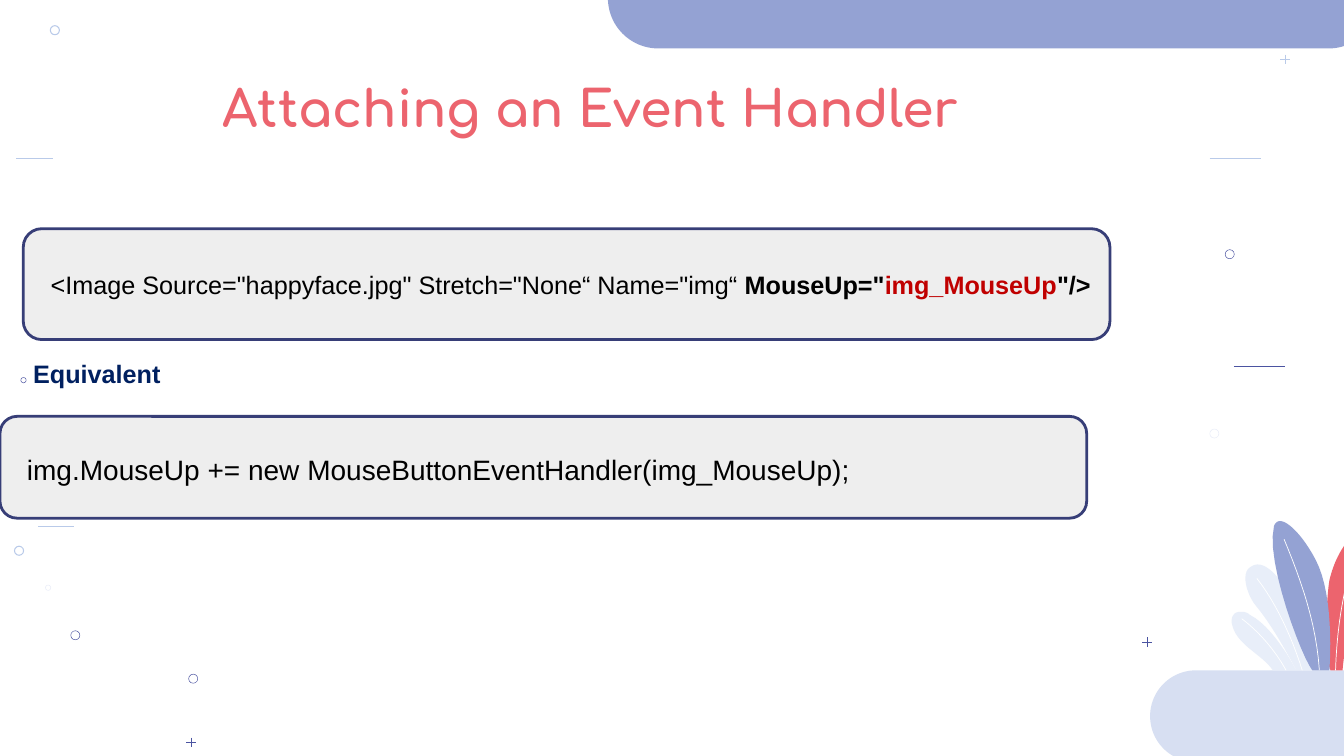
import pptx
import pptx.dml.color
import pptx.enum.shapes
import pptx.enum.text
import pptx.oxml.ns
import pptx.util

Pt = pptx.util.Pt
RGBColor = pptx.dml.color.RGBColor
MSO_SHAPE = pptx.enum.shapes.MSO_SHAPE
MIDDLE = pptx.enum.text.MSO_ANCHOR.MIDDLE
TOP = pptx.enum.text.MSO_ANCHOR.TOP

WHITE = RGBColor(0xFF, 0xFF, 0xFF)
BLACK = RGBColor(0, 0, 0)
CORAL = RGBColor(0xEC, 0x64, 0x6E)
PERIWINKLE = RGBColor(0x94, 0xA2, 0xD3)
MIST = RGBColor(0xD7, 0xDF, 0xF2)
PALE_LEAF = RGBColor(0xE8, 0xEE, 0xF9)
FAINT = RGBColor(0xE8, 0xEC, 0xF8)
SKY = RGBColor(0xB9, 0xCA, 0xE9)
INDIGO = RGBColor(0x4B, 0x54, 0xA1)
NAVY = RGBColor(0x00, 0x20, 0x60)
CODE_FILL = RGBColor(0xEE, 0xEE, 0xEE)
CODE_BORDER = RGBColor(0x37, 0x3E, 0x77)
CODE_RED = RGBColor(0xC0, 0, 0)

LINE_WIDTHS = {SKY: 0.75, INDIGO: 0.33, FAINT: 0.33}

# Centre x, centre y, diameter, colour
CIRCLES = [
    (16.8, 271.6, 3.8, INDIGO), (878.4, 181.6, 6.5, INDIGO),
    (34.4, 419.8, 3.8, FAINT), (867.4, 309.7, 6.5, FAINT),
    (138, 484.8, 6.5, INDIGO), (53.8, 453.8, 6.5, INDIGO),
    (13.6, 393.4, 6.5, SKY), (39.2, 21.6, 6.5, SKY),
]
# Centre x, centre y, colour
PLUSES = [(918, 42.5, SKY), (819.4, 458.6, INDIGO), (136.6, 530.2, INDIGO)]
# Left, y, length, colour
DASHES = [(864, 113, 36.7, SKY), (881.3, 261.4, 36.7, INDIGO),
          (27.4, 375.8, 25.2, SKY), (11.5, 113, 26.6, SKY)]

# Each outline is a start point, then lines (x, y) and curves (two controls, end).
LEAVES = [
    (PALE_LEAF, [(6.5, 64.8), (7.2, 64.8), (9.4, 64.8, 11.5, 65.5, 13, 67),
                 (28.8, 74.9, 43.2, 100.8, 46.1, 106.6), (29.5, 106.6),
                 (20.9, 94.3, 2.9, 88.6, 0, 72.7), (0, 70.6, 0, 68.4, 1.4, 67),
                 (2.2, 65.5, 4.3, 64.8, 6.5, 64.8)]),
    (PALE_LEAF, [(18.7, 31), (26.6, 31, 34.6, 41.8, 38.2, 48.2),
                 (45.4, 59, 50.4, 71.3, 54, 83.5), (59.8, 106.6), (46.1, 106.6),
                 (46.1, 106.6, 31.7, 77.8, 17.3, 60.5),
                 (10.8, 52.6, 6.5, 37.4, 13, 33.1),
                 (15.1, 31.7, 16.6, 31, 18.7, 31)]),
    (CORAL, [(103, 1.4), (105.1, 1.4, 106.6, 1.4, 107.3, 2.9),
             (112.3, 5.8, 105.1, 18, 103.7, 21.6),
             (97.2, 33.1, 92.2, 46.1, 88.6, 59),
             (84.2, 74.2, 80.6, 90, 79.2, 106.6), (70.6, 106.6),
             (65.5, 96.5, 67.7, 55.4, 69.8, 42.5),
             (72, 33.1, 75.6, 24.5, 80.6, 17.3),
             (85, 12.2, 95, 1.4, 103, 1.4)]),
    (PERIWINKLE, [(34.6, 0), (40.3, 0, 51.1, 10.8, 59.8, 27.4),
                  (70.6, 47.5, 71.3, 83.5, 69.8, 106.6), (57.6, 106.6),
                  (50.4, 97.9, 23.8, 28.8, 30.2, 3.6),
                  (31, 1.4, 32.4, 0, 34.6, 0)]),
]
VEINS = [
    [(18, 41), (31.7, 58.3, 43.2, 83.5, 50.4, 106.6)],
    [(100.1, 10.1), (89.3, 19.4, 84.2, 33.8, 81.4, 47.5),
     (77, 67, 74.9, 86.4, 74.2, 106.6)],
    [(37.4, 13), (49.7, 42.5, 60.5, 73.4, 62.6, 106.6)],
    [(7.2, 69.8), (7.2, 69.8, 25.9, 82.8, 38.9, 106.6)],
]


def paint(shape, fill=None, line=None, width=0.75):
    shape.shadow.inherit = False
    for part, color in ((shape.fill, fill), (shape.line.fill, line)):
        if color is None:
            part.background()
        else:
            part.solid()
            part.fore_color.rgb = color
    if line is not None:
        shape.line.width = Pt(width)


def add_preset(slide, kind, box, **colors):
    shape = slide.shapes.add_shape(kind, *map(Pt, box))
    paint(shape, **colors)
    return shape


def add_line(slide, start, end, color):
    connector = slide.shapes.add_connector(
        pptx.enum.shapes.MSO_CONNECTOR.STRAIGHT, *map(Pt, start + end))
    connector.line.color.rgb = color
    connector.line.width = Pt(LINE_WIDTHS[color])
    properties = connector._element.spPr
    properties.append(properties.makeelement(pptx.oxml.ns.qn("a:effectLst"), {}))


def trace(outline, steps=12):
    """Turn an outline of lines and cubic curves into points."""
    points = [outline[0]]
    for segment in outline[1:]:
        if len(segment) == 2:
            points.append(segment)
            continue
        controls = [points[-1], segment[:2], segment[2:4], segment[4:]]
        for step in range(1, steps + 1):
            t = step / steps
            weights = ((1 - t) ** 3, 3 * t * (1 - t) ** 2, 3 * t * t * (1 - t), t ** 3)
            points.append(tuple(sum(weight * control[axis]
                                    for weight, control in zip(weights, controls))
                                for axis in (0, 1)))
    return points


def add_outline(slide, left, top, outline, closed, **colors):
    points = [(Pt(left + x), Pt(top + y)) for x, y in trace(outline)]
    builder = slide.shapes.build_freeform(*points[0], scale=1.0)
    builder.add_line_segments(points[1:], close=closed)
    paint(builder.convert_to_shape(), **colors)


def draw_marks(slide, left, top):
    """Scatter the small circles, pluses and dashes."""
    for x, y, size, color in CIRCLES:
        box = (left + x - size / 2, top + y - size / 2, size, size)
        add_preset(slide, MSO_SHAPE.OVAL, box, line=color, width=LINE_WIDTHS[color])
    arm = 3.4
    for x, y, color in PLUSES:
        x, y = left + x, top + y
        add_line(slide, (x, y - arm), (x, y + arm), color)
        add_line(slide, (x - arm, y), (x + arm, y), color)
    for x, y, length, color in DASHES:
        add_line(slide, (left + x, top + y), (left + x + length, top + y), color)


def draw_pill(slide, box, color):
    add_preset(slide, MSO_SHAPE.ROUNDED_RECTANGLE, box, fill=color).adjustments[0] = 0.5


def draw_plant(slide, left, top):
    for color, outline in LEAVES:
        add_outline(slide, left, top, outline, True, fill=color)
    for outline in VEINS:
        add_outline(slide, left, top, outline, False, line=WHITE, width=0.52)


def write(shape, runs, anchor=TOP, inset=3.6, **paragraph_format):
    frame = shape.text_frame
    frame_format = {"word_wrap": True, "vertical_anchor": anchor,
                    "margin_left": Pt(7.2), "margin_right": Pt(7.2),
                    "margin_top": Pt(inset), "margin_bottom": Pt(inset)}
    for name, value in frame_format.items():
        setattr(frame, name, value)
    paragraph = frame.paragraphs[0]
    paragraph.alignment = pptx.enum.text.PP_ALIGN.LEFT
    for name, value in paragraph_format.items():
        setattr(paragraph, name, value)
    for text, size, color, bold, font_name in runs:
        run = paragraph.add_run()
        run.text = text
        run.font.color.rgb = color
        for name, value in {"size": Pt(size), "bold": bold, "name": font_name}.items():
            setattr(run.font, name, value)
    return paragraph


def draw_label(slide, box, run, **layout):
    write(slide.shapes.add_textbox(*map(Pt, box)), [run], **layout)


def draw_code(slide, box, runs, **layout):
    shape = add_preset(slide, MSO_SHAPE.ROUNDED_RECTANGLE, box,
                       fill=CODE_FILL, line=CODE_BORDER, width=2)
    properties = write(shape, runs, anchor=MIDDLE, **layout)._p.get_or_add_pPr()
    for name, value in {"marL": Pt(28.8), "indent": Pt(-20.2)}.items():
        properties.set(name, str(value))


def main():
    presentation = pptx.Presentation()
    presentation.slide_width, presentation.slide_height = Pt(960), Pt(540)
    slide = presentation.slides.add_slide(presentation.slide_layouts[6])
    draw_marks(slide, 0, 0)
    draw_pill(slide, (821.5, 478.8, 222.5, 65.5), MIST)
    draw_pill(slide, (434.2, -37.4, 550.8, 72), PERIWINKLE)
    draw_plant(slide, 879.8, 372.2)
    draw_code(slide, (0, 297.4, 776.2, 72.7),
              [("img.MouseUp += new MouseButtonEventHandler(img_MouseUp);",
                20, BLACK, False, "Arial")], inset=7.2, line_spacing=1.15)
    draw_label(slide, (151.9, 46.8, 808, 60.5),
               ("Attaching an Event Handler", 36, CORAL, True, "Comfortaa"),
               anchor=MIDDLE, inset=7.2)
    draw_code(slide, (16.6, 163.4, 776.2, 79.2), [
        ('<Image Source="happyface.jpg" Stretch="None“ Name="img“ ',
         18, BLACK, False, "Arial"),
        ('MouseUp="', 18, BLACK, True, "Arial"),
        ("img_MouseUp", 18, CODE_RED, True, "Arial"),
        ('"/>', 18, BLACK, True, "Arial")], space_before=Pt(4))
    draw_label(slide, (16.6, 252.7, 318.2, 29),
               ("Equivalent", 18, NAVY, True, "Arial"))
    presentation.save("out.pptx")


if __name__ == "__main__":
    main()
